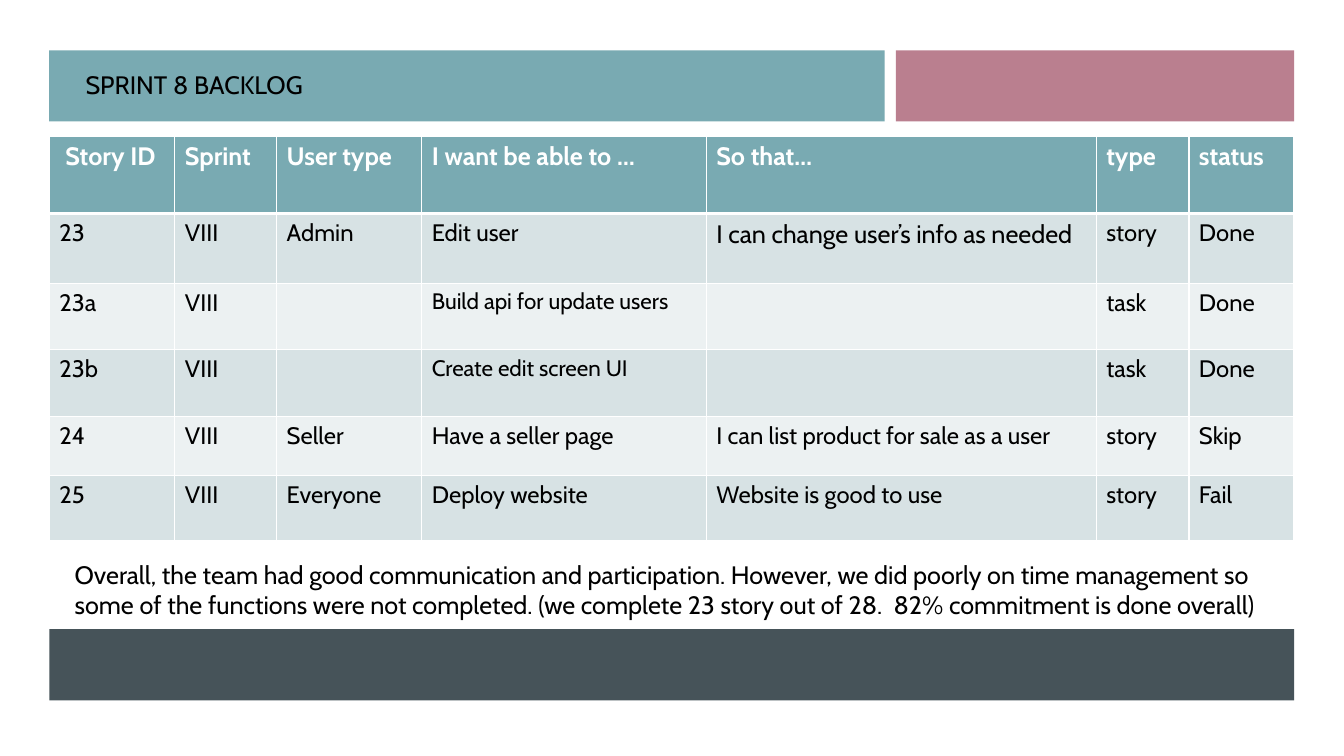
from lxml import etree
from pptx import Presentation
from pptx.dml.color import RGBColor
from pptx.enum import shapes, text
from pptx.oxml import ns
from pptx.util import Pt

WHITE = RGBColor(0xFF, 0xFF, 0xFF)
BLACK = RGBColor(0, 0, 0)
TEAL = RGBColor(0x79, 0xAA, 0xB2)
ROSE = RGBColor(0xBA, 0x7F, 0x8F)
SLATE = RGBColor(0x46, 0x53, 0x59)
ROW_DARK = RGBColor(0xD7, 0xE2, 0xE4)
ROW_LIGHT = RGBColor(0xEC, 0xF1, 0xF2)
FONT = "Cabin"

SLIDE_WIDTH, SLIDE_HEIGHT = 960, 540
LEFT, WIDTH = 35.2, 889.2
COLUMN_WIDTHS = [89.7, 72.7, 103.7, 203.2, 278.6, 66.2, 74.8]
ROW_HEIGHTS = [55.4, 49.7, 47.5, 47.5, 42.5, 46.1]
HEADINGS = ["Story ID", "Sprint", "User type", "I want be able to …",
            "So that…", "type", "status"]
STORIES = [
    ["23", "VIII", "Admin", "Edit user", "I can change user’s info as needed", "story", "Done"],
    ["23a", "VIII", "", "Build api for update users", "", "task", "Done"],
    ["23b", "VIII", "", "Create edit screen UI", "", "task", "Done"],
    ["24", "VIII", "Seller", "Have a seller page", "I can list product for sale as a user", "story", "Skip"],
    ["25", "VIII", "Everyone", "Deploy website", "Website is good to use", "story", "Fail"],
]
# Cells whose text is not 17 pt, by story row and column
SPECIAL_SIZES = {(0, 4): 18, (1, 3): 16, (2, 3): 16}
SUMMARY = ("Overall, the team had good communication and participation. "
           "However, we did poorly on time management so some of the functions "
           "were not completed. (we complete 23 story out of 28.  "
           "82% commitment is done overall)")


def set_font(paragraph, size, color=BLACK, bold=False):
    font = paragraph.font
    font.name, font.size, font.bold = FONT, Pt(size), bold
    font.color.rgb = color


def set_borders(cell, bottom):
    """Draw white lines around a cell, the lower one of its own width."""
    properties = cell._tc.get_or_add_tcPr()
    for position, (side, width) in enumerate(zip("LRTB", (1, 1, 1, bottom))):
        line = etree.Element(ns.qn(f"a:ln{side}"), w=str(Pt(width)))
        fill = etree.SubElement(line, ns.qn("a:solidFill"))
        etree.SubElement(fill, ns.qn("a:srgbClr"), val=str(WHITE))
        properties.insert(position, line)


def add_band(slide, left, top, width, height, color):
    band = slide.shapes.add_shape(shapes.MSO_SHAPE.RECTANGLE,
                                  Pt(left), Pt(top), Pt(width), Pt(height))
    band.shadow.inherit = False
    band.fill.solid()
    band.fill.fore_color.rgb = color
    band.line.fill.background()


def add_header(slide, left, top, width, height):
    # Title band and accent band, with a gap between them
    accent_width, gap = 284.5, 8
    title_width = width - accent_width - gap
    add_band(slide, left, top, title_width, height, TEAL)
    add_band(slide, left + width - accent_width, top, accent_width, height, ROSE)

    # Title, brought in front of its band
    title = slide.shapes.title
    slide.shapes._spTree.append(title._element)
    title.left, title.top = Pt(left + 10.9), Pt(top + 10)
    title.width, title.height = Pt(213), Pt(29)
    frame = title.text_frame
    frame.text = "SPRINT 8 BACKLOG"
    frame.word_wrap = True
    frame.auto_size = text.MSO_AUTO_SIZE.NONE
    frame.vertical_anchor = text.MSO_ANCHOR.MIDDLE
    frame.margin_left = Pt(15)
    heading = frame.paragraphs[0]
    heading.alignment = text.PP_ALIGN.LEFT
    set_font(heading, 18)


def add_backlog(slide, left, top, width):
    backlog = slide.shapes.add_table(len(ROW_HEIGHTS), len(COLUMN_WIDTHS), Pt(left),
                                     Pt(top), Pt(width), Pt(sum(ROW_HEIGHTS))).table
    for column, column_width in zip(backlog.columns, COLUMN_WIDTHS):
        column.width = Pt(column_width)
    for row, row_height in zip(backlog.rows, ROW_HEIGHTS):
        row.height = Pt(row_height)

    for r, entries in enumerate([HEADINGS] + STORIES):
        is_header = r == 0
        row_color = TEAL if is_header else (ROW_DARK if r % 2 else ROW_LIGHT)
        for c, entry in enumerate(entries):
            cell = backlog.cell(r, c)
            cell.text = entry
            cell.fill.solid()
            cell.fill.fore_color.rgb = row_color
            set_borders(cell, bottom=3 if is_header else 1)
            if is_header:
                set_font(cell.text_frame.paragraphs[0], 18, WHITE, bold=True)
            else:
                set_font(cell.text_frame.paragraphs[0], SPECIAL_SIZES.get((r - 1, c), 17))
    backlog.cell(0, 0).margin_left = Pt(11.5)


def add_summary(slide, left, top, width, height):
    summary = slide.shapes.add_table(1, 1, Pt(left), Pt(top), Pt(width), Pt(height)).table
    summary.first_row = summary.horz_banding = False
    cell = summary.cell(0, 0)
    cell.text = SUMMARY
    cell.fill.background()
    set_font(cell.text_frame.paragraphs[0], 18)


def build_backlog_slide(presentation):
    slide = presentation.slides.add_slide(presentation.slide_layouts[5])
    # White backdrop
    add_band(slide, 0, 0, SLIDE_WIDTH, SLIDE_HEIGHT, WHITE)
    # Header and footer bands
    add_header(slide, LEFT, 36, WIDTH, 50.75)
    add_band(slide, LEFT, 449.3, WIDTH, 51, SLATE)
    # Tables
    add_summary(slide, LEFT + 10.9, 396.3, 865, 50.4)
    add_backlog(slide, LEFT, 97.2, WIDTH)


def main():
    presentation = Presentation()
    presentation.slide_width, presentation.slide_height = Pt(SLIDE_WIDTH), Pt(SLIDE_HEIGHT)
    build_backlog_slide(presentation)
    presentation.save("out.pptx")


if __name__ == "__main__":
    main()
